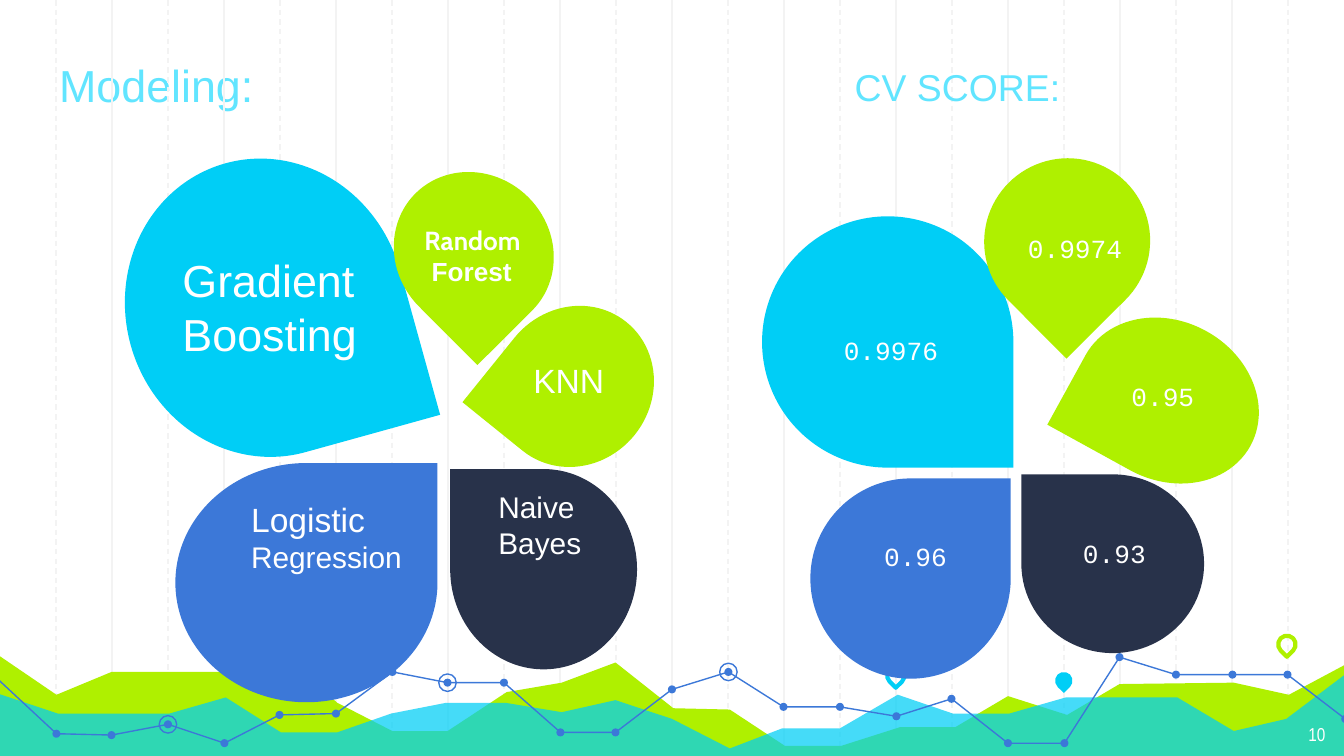
from lxml.etree import SubElement
from pptx import Presentation
from pptx.dml.color import RGBColor
from pptx.enum.dml import MSO_LINE
from pptx.enum.shapes import MSO_CONNECTOR, MSO_SHAPE
from pptx.enum.text import MSO_ANCHOR, MSO_AUTO_SIZE, PP_ALIGN
from pptx.oxml.ns import qn
from pptx.util import Pt

PX = 9144
WHITE = RGBColor(0xFF, 0xFF, 0xFF)
GRID = RGBColor(0xF3, 0xF3, 0xF3)
LIME = RGBColor(0xAF, 0xF0, 0x00)
CYAN = RGBColor(0x00, 0xCE, 0xF6)
BLUE = RGBColor(0x3C, 0x78, 0xD8)
NAVY = RGBColor(0x28, 0x32, 0x4A)
SKY = RGBColor(0x61, 0xE5, 0xFF)

BACK = [(-2, 487), (42, 517), (83, 500), (168, 500), (209, 486), (251, 523),
        (292, 544), (333, 544), (377, 515), (418, 508), (458, 493), (501, 527),
        (543, 528), (584, 555), (626, 555), (670, 541), (711, 541), (750, 518),
        (794, 532), (833, 509), (918, 508), (959, 517), (1002, 494),
        (1001, 564), (-3, 564)]
FRONT = [(-2, 516), (43, 531), (126, 531), (168, 519), (209, 545), (251, 545),
         (291, 531), (332, 523), (376, 523), (418, 530), (458, 521), (500, 535),
         (543, 557), (582, 542), (625, 542), (668, 517), (709, 531), (751, 531),
         (793, 519), (876, 519), (918, 544), (957, 535), (1002, 501),
         (1002, 565), (-3, 565)]
TREND = [(-1, 506), (42, 546), (83, 547), (125, 539), (167, 553), (208, 532),
         (250, 531), (292, 500), (333, 508), (375, 508), (417, 545), (458, 545),
         (500, 513), (542, 500), (583, 526), (625, 526), (667, 533), (708, 520),
         (750, 553), (792, 553), (833, 489), (875, 502), (917, 502), (958, 502),
         (1001, 535)]
RINGS = (3, 8, 13)
PINS = [(660, 496, None, CYAN), (785, 500, CYAN, None), (951, 473, None, LIME)]
SCORES = [((567, 161, 187, 187), 90, CYAN, False),
          ((603, 356, 149, 149), 90, BLUE, True),
          ((799, 239, 140, 118), 208.8, LIME, False),
          ((760, 353, 136, 133), 0, NAVY, True),
          ((732, 118, 124, 123), 135.1, LIME, False)]
MODELS = [((86, 125, 223, 208), 74.5, CYAN, False),
          ((139, 336, 178, 195), 90, BLUE, True),
          ((370, 226, 115, 123), 218.9, LIME, False),
          ((335, 349, 139, 149), 0, NAVY, True),
          ((295, 126, 115, 123), 135.1, LIME, False)]
NAMES = [((126, 183, 160, 91), [("Gradient Boosting", 24)]),
         ((177, 366, 140, 91), [("Logistic", 18), ("Regression", 16)]),
         ((387, 263, 76, 64), [("KNN", 18)]),
         ((361, 359, 109, 64), [("Naive", 16), ("Bayes", 16)])]
VALUES = [((755, 168, 111, 34), "0.9974"), ((648, 397, 136, 34), "0.96"),
          ((832, 278, 136, 34), "0.95"), ((796, 395, 110, 34), "0.93"),
          ((618, 244, 181, 34), "0.9976")]


def emu(box):
    """Turn px lengths into EMU."""
    return [int(value * PX) for value in box]


def paint(shape, fill=None, line=None, width=0.75):
    """Set fill and line, and drop the shadow."""
    shape.shadow.inherit = False
    if fill is None:
        shape.fill.background()
    else:
        shape.fill.solid()
        shape.fill.fore_color.rgb = fill
    if line is None:
        shape.line.fill.background()
    else:
        shape.line.color.rgb = line
        shape.line.width = Pt(width)


def add_rule(slide, x, dashed):
    """Draw one vertical grid line."""
    rule = slide.shapes.add_connector(MSO_CONNECTOR.STRAIGHT, *emu((x, 0, x, 565)))
    rule.line.color.rgb = GRID
    rule.line.width = Pt(0.75)
    if dashed:
        rule.line.dash_style = MSO_LINE.DASH
    SubElement(rule.element.spPr, qn("a:effectLst"))


def add_path(slide, points, fill=None, line=None, alpha=None):
    """Draw a filled area or an open line through points."""
    maker = slide.shapes.build_freeform(*points[0], scale=PX)
    maker.add_line_segments(points[1:], close=fill is not None)
    shape = maker.convert_to_shape()
    paint(shape, fill, line)
    if alpha:
        color = shape.element.spPr.find(".//" + qn("a:srgbClr"))
        SubElement(color, qn("a:alpha")).set("val", str(alpha * 1000))


def add_dot(slide, center, size, fill=None, line=None):
    """Draw a circle around a center."""
    x, y = center
    box = emu((x - size / 2, y - size / 2, size, size))
    paint(slide.shapes.add_shape(MSO_SHAPE.OVAL, *box), fill, line)


def add_drop(slide, box, turn, fill, flip=False, line=None):
    """Draw a turned teardrop."""
    drop = slide.shapes.add_shape(MSO_SHAPE.TEAR, *emu(box))
    drop.rotation = turn
    if flip:
        drop.element.spPr.xfrm.set("flipH", "1")
    paint(drop, fill, line, 2.25)


def write(shape, lines, face="Arial", color=WHITE, bold=False, align=PP_ALIGN.LEFT):
    """Fill a shape with one paragraph per line."""
    frame = shape.text_frame
    frame.word_wrap = True
    frame.auto_size = MSO_AUTO_SIZE.NONE
    frame.vertical_anchor = MSO_ANCHOR.TOP
    frame.text = "\n".join(text for text, size in lines)
    for para, (text, size) in zip(frame.paragraphs, lines):
        para.alignment = align
        para.font.name = face
        para.font.size = Pt(size)
        para.font.bold = bold
        para.font.color.rgb = color


def add_text(slide, box, lines, **style):
    """Add a text box and return its frame."""
    shape = slide.shapes.add_textbox(*emu(box))
    write(shape, lines, **style)
    return shape.text_frame


def add_title(slide, box, text):
    """Place and format the title."""
    title = slide.shapes.title
    title.left, title.top, title.width, title.height = emu(box)
    write(title, [(text, 24)], color=SKY)


def add_scene(slide):
    """Draw the grid, the areas, the trend line and the pins."""
    for start, dashed in ((2, False), (1, True)):
        for step in range(start, 24, 2):
            add_rule(slide, step * 125 / 3, dashed)
    add_path(slide, BACK, LIME)
    add_path(slide, FRONT, CYAN, alpha=73)
    for x, y, fill, line in PINS:
        add_drop(slide, (x, y, 13, 13), 135, fill, line=line)
    for start, end in ((0, 12), (11, 21), (20, 25)):
        add_path(slide, TREND[start:end], line=BLUE)
    for point in TREND[1:]:
        add_dot(slide, point, 6, fill=BLUE)
    for ring in RINGS:
        add_dot(slide, TREND[ring], 13, line=BLUE)


def main():
    """Build the slide."""
    deck = Presentation()
    deck.slide_width, deck.slide_height = emu((1000, 562.5))
    slide = deck.slides.add_slide(deck.slide_layouts[5])
    add_title(slide, (34, 38, 284, 50), "Modeling:")
    add_scene(slide)
    for drop in SCORES + MODELS:
        add_drop(slide, *drop)
    for box, lines in NAMES:
        add_text(slide, box, lines)
    forest = add_text(slide, (306, 162, 109, 57), [("Random", 14), (" Forest", 14)],
                      face="Cabin", bold=True)
    forest.paragraphs[1].font.name = "Arial"
    for box, value in VALUES:
        add_text(slide, box, [(value, 14)], face="Courier New")
    add_text(slide, (626, 43, 291, 44), [("CV SCORE:", 20)], color=SKY)
    page = add_text(slide, (936, 528, 60, 35), [("10", 10)],
                    face="Arial Narrow", align=PP_ALIGN.RIGHT)
    page.margin_top = page.margin_bottom = 10 * PX
    deck.save("out.pptx")


if __name__ == "__main__":
    main()
